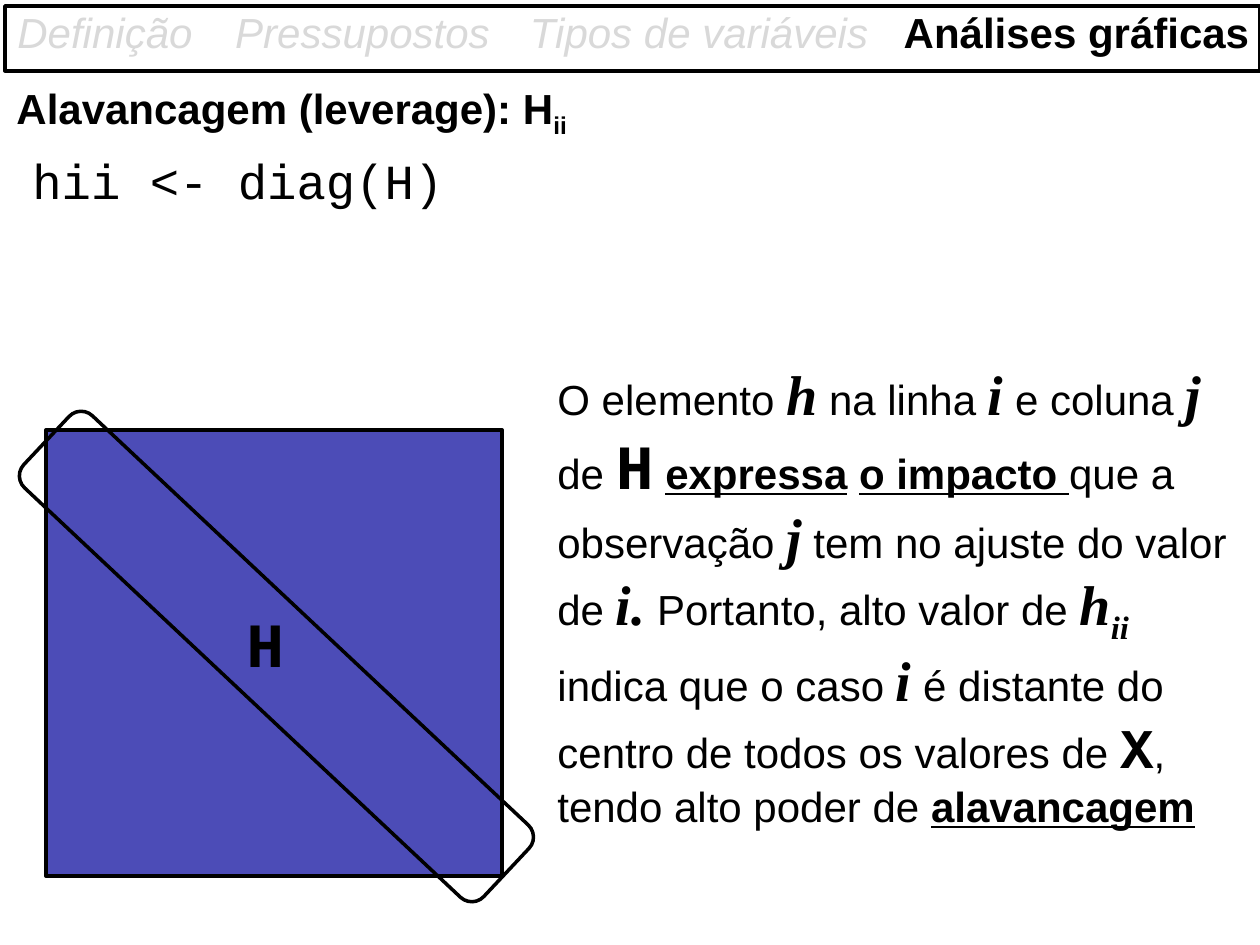
from lxml import etree
from pptx import Presentation
from pptx import util as u
from pptx.dml.color import RGBColor
from pptx.enum import shapes, text
from pptx.oxml.ns import qn

PX = 914400 / 126  # EMU per px
BLACK, GREY, WHITE, BLUE = "000000", "D9D9D9", "FFFFFF", "000099"

# Run styles
BODY = dict(size=24, font="Arial")
BOLD = dict(BODY, bold=True)
KEY = dict(BOLD, underline=True)
VAR = dict(size=32, font="Times New Roman", bold=True, italic=True)
CODE = dict(size=28, font="Courier New")
MATRIX = dict(CODE, size=36, bold=True)
FADED = dict(BODY, italic=True, color=GREY)

# Content: (label, left, width, style, wrap)
TABS = [
    ("Definição", 5, 200, FADED, False),
    ("Pressupostos", 174, 377, FADED, True),
    ("Tipos de variáveis", 481, 436, FADED, True),
    ("Análises gráficas", 888, 377, BOLD, True),
]
HEADING = [("Alavancagem (leverage): H", BOLD), ("ii", dict(BOLD, base=-25))]
EXPLANATION = [
    ("O elemento ", BODY), ("h", VAR), (" na linha ", BODY), ("i", VAR),
    (" e coluna ", BODY), ("j", VAR), (" de ", BODY), ("H", MATRIX),
    (" ", BODY), ("expressa", KEY), (" ", BODY), ("o impacto ", KEY),
    ("que a observação ", BODY), ("j", VAR),
    (" tem no ajuste do valor de ", BODY), ("i.", VAR),
    (" Portanto, alto valor de ", BODY), ("h", VAR), ("ii", dict(VAR, base=-25)),
    (" indica que o caso ", BODY), ("i", VAR),
    (" é distante do centro de todos os valores de ", BODY),
    ("X", dict(MATRIX, size=32)), (", tendo alto poder de ", BODY),
    ("alavancagem", KEY),
]


def px(*values):
    return [u.Emu(round(v * PX)) for v in values]


def rgb(color):
    return RGBColor.from_string(color)


def add_run(p, words, size, font, color=BLACK, bold=False, italic=False,
            underline=False, base=0):
    r = p.add_run()
    r.text = words
    f = r.font
    f.size, f.name, f.color.rgb = u.Pt(size), font, rgb(color)
    f.bold, f.italic, f.underline = bold, italic, underline
    if base:
        r._r.get_or_add_rPr().set("baseline", str(base * 1000))


def add_text(s, box, runs, wrap=True, align=text.PP_ALIGN.LEFT):
    tf = s.shapes.add_textbox(*px(*box)).text_frame
    tf.word_wrap = wrap
    tf.auto_size = text.MSO_AUTO_SIZE.SHAPE_TO_FIT_TEXT
    p = tf.paragraphs[0]
    p.alignment = align
    for words, style in runs:
        add_run(p, words, **style)


def add_outline(s, kind, box, width, fill=None, opacity=100):
    sp = s.shapes.add_shape(kind, *px(*box))
    sp.shadow.inherit = False
    sp.line.color.rgb, sp.line.width = rgb(BLACK), u.Pt(width)
    if fill is None:
        sp.fill.background()
        return sp
    sp.fill.solid()
    sp.fill.fore_color.rgb = rgb(fill)
    if opacity < 100:
        clr = sp._element.spPr.find(qn("a:solidFill"))[0]
        etree.SubElement(clr, qn("a:alpha")).set("val", str(opacity * 1000))
    return sp


def main():
    prs = Presentation()
    prs.slide_width, prs.slide_height = px(1260, 945)
    s = prs.slides.add_slide(prs.slide_layouts[6])
    kinds = shapes.MSO_SHAPE

    # Heading and navigation bar
    add_text(s, (4, 76, 576, 70), HEADING, wrap=False)
    add_outline(s, kinds.RECTANGLE, (5, 6, 1255, 65), 2, WHITE)
    for label, left, width, style, wrap in TABS:
        add_text(s, (left, 0, width, 63), [(label, style)], wrap,
                 text.PP_ALIGN.CENTER)

    # Code line
    add_text(s, (20, 144, 1206, 72), [("hii <- diag(H)", CODE)])

    # Matrix H with its diagonal marked
    add_outline(s, kinds.RECTANGLE, (46, 430, 456, 446), 2.25, BLUE, 70)
    add_text(s, (234, 598, 100, 88), [("H", MATRIX)])
    diagonal = add_outline(s, kinds.ROUNDED_RECTANGLE, (227, 341, 99, 631), 2)
    diagonal.rotation = 313.2

    # Explanation
    add_text(s, (545, 353, 709, 484), EXPLANATION)

    prs.save("out.pptx")


if __name__ == "__main__":
    main()
